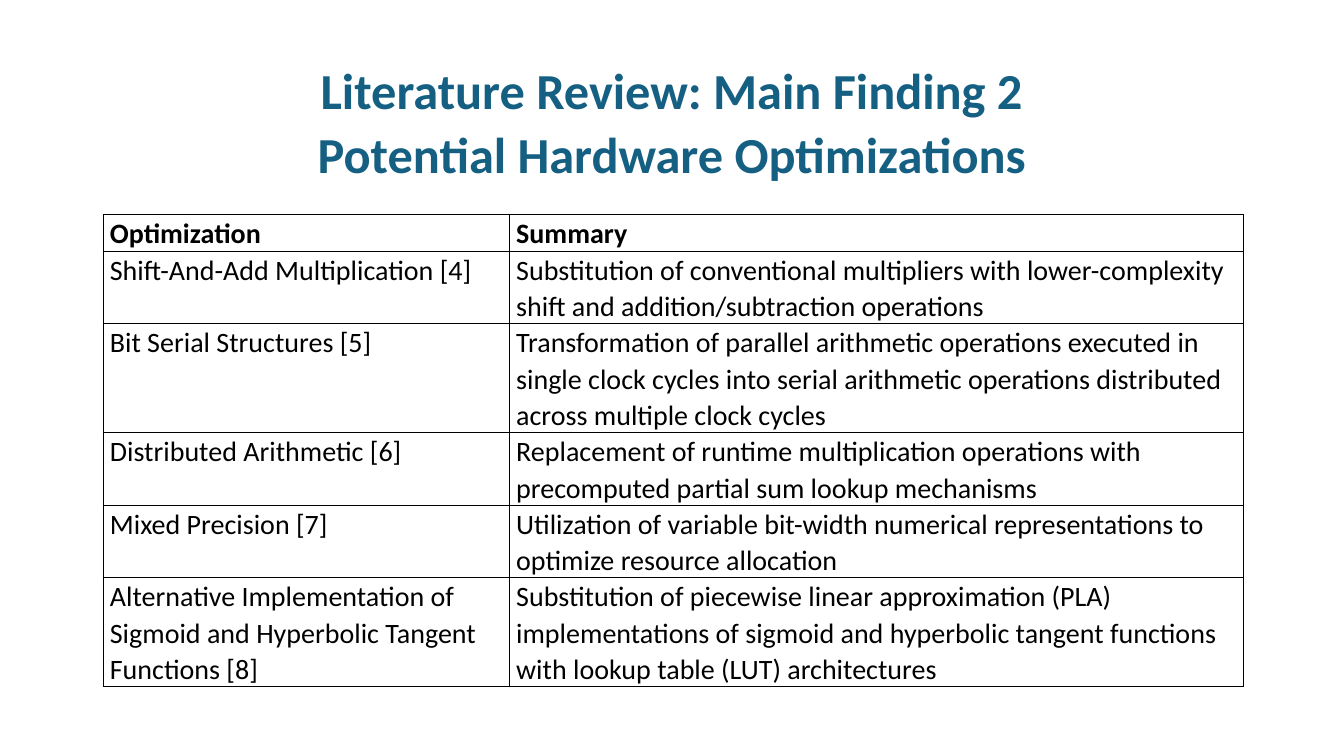
from lxml.etree import SubElement
from pptx import Presentation
from pptx.dml.color import RGBColor
from pptx.enum.text import MSO_ANCHOR, PP_ALIGN
from pptx.oxml.ns import qn
from pptx.util import Inches, Pt

WIDE, HIGH = Inches(13.33), Inches(7.5)
TEAL = RGBColor(0x15, 0x60, 0x82)
BLACK = RGBColor(0, 0, 0)
FONT = "Calibri"
LINE = Inches(0.36)  # height of one line of table text
COLS = (4.03, 7.28)

# Optimization, summary, lines of text in the row
ROWS = [
    ("Optimization", "Summary", 1),
    ("Shift-And-Add Multiplication [4]",
     "Substitution of conventional multipliers with lower-complexity "
     "shift and addition/subtraction operations", 2),
    ("Bit Serial Structures [5]",
     "Transformation of parallel arithmetic operations executed in single "
     "clock cycles into serial arithmetic operations distributed across "
     "multiple clock cycles", 3),
    ("Distributed Arithmetic [6]",
     "Replacement of runtime multiplication operations with precomputed "
     "partial sum lookup mechanisms", 2),
    ("Mixed Precision [7]",
     "Utilization of variable bit-width numerical representations to "
     "optimize resource allocation", 2),
    ("Alternative Implementation of Sigmoid and Hyperbolic Tangent "
     "Functions [8]",
     "Substitution of piecewise linear approximation (PLA) implementations "
     "of sigmoid and hyperbolic tangent functions with lookup table (LUT) "
     "architectures", 3),
]


def write(frame, text, size=20, color=BLACK, bold=False,
          align=PP_ALIGN.LEFT, space=1.07, after=8):
    """Fill a text frame; a vertical tab in the text breaks the line."""
    frame.word_wrap = True
    para = frame.paragraphs[0]
    para.text = text
    para.alignment = align
    para.line_spacing = space
    para.space_after = Pt(after)
    for run in para.runs:
        font = run.font
        font.name, font.size, font.bold = FONT, Pt(size), bold
        font.color.rgb = color


def border(cell, width=0.5):
    """Draw a thin line on all four sides of a cell."""
    props = cell._tc.get_or_add_tcPr()
    for side in ("a:lnL", "a:lnR", "a:lnT", "a:lnB"):
        line = SubElement(props, qn(side), w=str(Pt(width)))
        fill = SubElement(line, qn("a:solidFill"))
        SubElement(fill, qn("a:srgbClr"), val=str(BLACK))


def title(slide, text):
    box = slide.shapes.add_textbox(
        int(WIDE * 0.1545), int(HIGH * 0.124),
        int(WIDE * 0.691), int(HIGH * 0.125))
    box.text_frame.vertical_anchor = MSO_ANCHOR.BOTTOM
    write(box.text_frame, text, size=36, color=TEAL, bold=True,
          align=PP_ALIGN.CENTER, space=1.06, after=0)


def grid(slide, rows):
    count = sum(row[-1] for row in rows)
    table = slide.shapes.add_table(
        len(rows), len(COLS), Inches(1.02), Inches(2.13),
        Inches(sum(COLS)), LINE * count).table
    table.first_row = table.horz_banding = False
    for col, width in zip(table.columns, COLS):
        col.width = Inches(width)
    for r, (*texts, lines) in enumerate(rows):
        table.rows[r].height = LINE * lines
        for c, text in enumerate(texts):
            cell = table.cell(r, c)
            cell.margin_left = cell.margin_right = Inches(0.07)
            cell.margin_top = cell.margin_bottom = 0
            border(cell)
            cell.fill.background()
            write(cell.text_frame, text, bold=r == 0)


def main():
    deck = Presentation()
    deck.slide_width, deck.slide_height = WIDE, HIGH
    slide = deck.slides.add_slide(deck.slide_layouts[6])
    # Heading
    title(slide, "Literature Review: Main Finding 2\v"
                 "Potential Hardware Optimizations")
    # Table of findings
    grid(slide, ROWS)
    deck.save("out.pptx")


if __name__ == "__main__":
    main()
